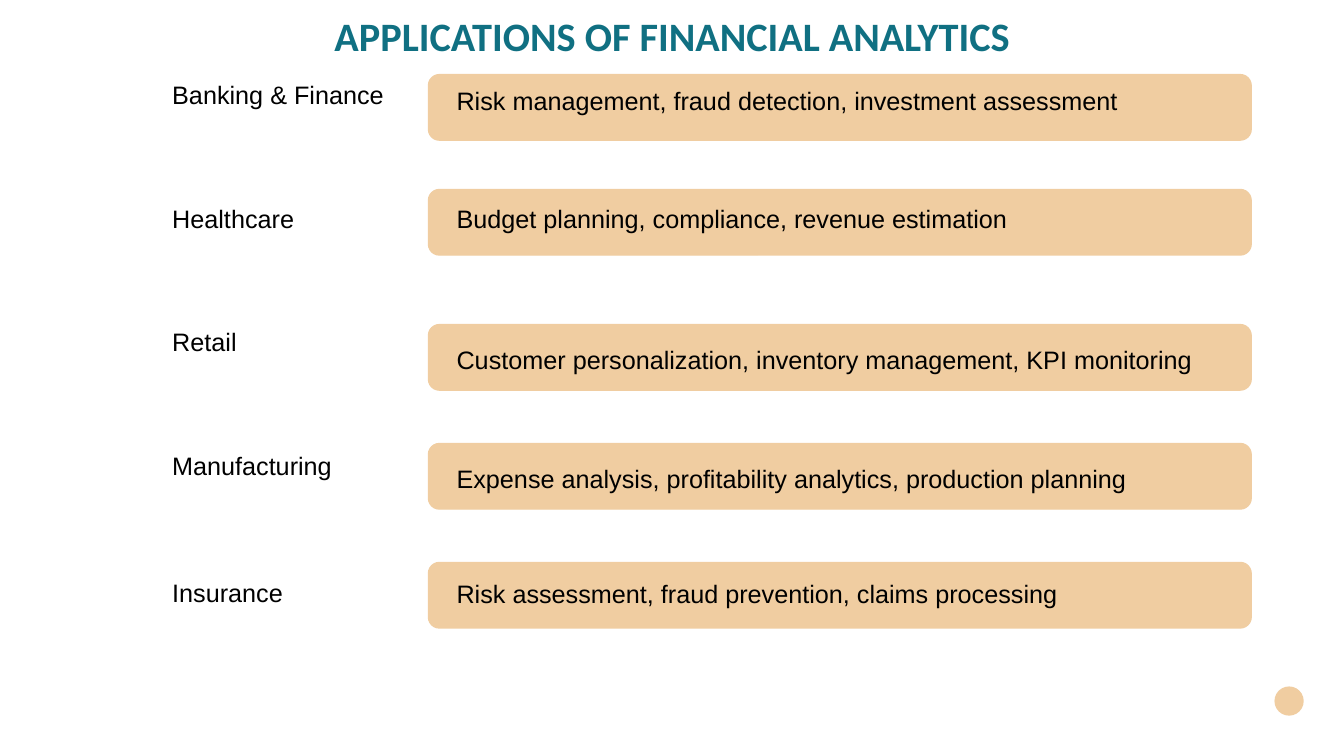
import pptx
import pptx.util
import pptx.dml.color
import pptx.enum.shapes
import pptx.enum.text

Inches = pptx.util.Inches
RGB = pptx.dml.color.RGBColor
KIND = pptx.enum.shapes.MSO_SHAPE
ALIGN = pptx.enum.text.PP_ALIGN
ANCHOR = pptx.enum.text.MSO_ANCHOR

# Content: sector, its top, uses, their top, bar top
TITLE = "APPLICATIONS OF FINANCIAL ANALYTICS"
ROWS = [
    ("Banking & Finance", 0.74,
     "Risk management, fraud detection, investment assessment", 0.8, 0.74),
    ("Healthcare", 1.97,
     "Budget planning, compliance, revenue estimation", 1.97, 1.88),
    ("Retail", 3.19,
     "Customer personalization, inventory management, KPI monitoring", 3.37, 3.22),
    ("Manufacturing", 4.42,
     "Expense analysis, profitability analytics, production planning", 4.55, 4.4),
    ("Insurance", 5.68,
     "Risk assessment, fraud prevention, claims processing", 5.69, 5.58),
]

# Colours
TEAL = RGB(0x10, 0x70, 0x82)
SAND = RGB(0xF0, 0xCD, 0xA1)
BLACK = RGB(0, 0, 0)

# Columns
LABEL_X, LABEL_W = 1.61, 2.57
BAR_X, BAR_W, BAR_H = 4.25, 8.16, 0.65
USE_X, USE_W = 4.43, 7.98
TEXT_H = 0.4

deck = pptx.Presentation()
deck.slide_width = Inches(13.33)
deck.slide_height = Inches(7.5)
slide = deck.slides.add_slide(deck.slide_layouts[6])


def add_text(text, x, y, w, h=TEXT_H, size=18, face="Arial", color=BLACK,
             bold=False, align=ALIGN.LEFT, anchor=ANCHOR.TOP, space=1.0):
    box = slide.shapes.add_textbox(Inches(x), Inches(y), Inches(w), Inches(h))
    frame = box.text_frame
    frame.word_wrap = True
    frame.vertical_anchor = anchor
    para = frame.paragraphs[0]
    para.alignment = align
    para.line_spacing = space
    run = para.add_run()
    run.text = text
    run.font.size = pptx.util.Pt(size)
    run.font.name = face
    run.font.bold = bold
    run.font.color.rgb = color


def add_fill(kind, x, y, w, h, edge=False):
    shape = slide.shapes.add_shape(kind, Inches(x), Inches(y), Inches(w), Inches(h))
    shape.shadow.inherit = False
    shape.fill.solid()
    shape.fill.fore_color.rgb = SAND
    if edge:
        shape.line.color.rgb = SAND
        shape.line.width = pptx.util.Pt(1)
    else:
        shape.line.fill.background()


# Corner dot and title
add_fill(KIND.OVAL, 12.64, 6.81, 0.29, 0.29)
add_text(TITLE, 0.92, 0.18, 11.5, size=28.8, face="Calibri", color=TEAL,
         bold=True, align=ALIGN.CENTER, anchor=ANCHOR.MIDDLE, space=0.9)

# One row per sector
for sector, label_y, uses, use_y, bar_y in ROWS:
    add_fill(KIND.ROUNDED_RECTANGLE, BAR_X, bar_y, BAR_W, BAR_H, edge=True)
    add_text(sector, LABEL_X, label_y, LABEL_W)
    add_text(uses, USE_X, use_y, USE_W)

deck.save("out.pptx")
